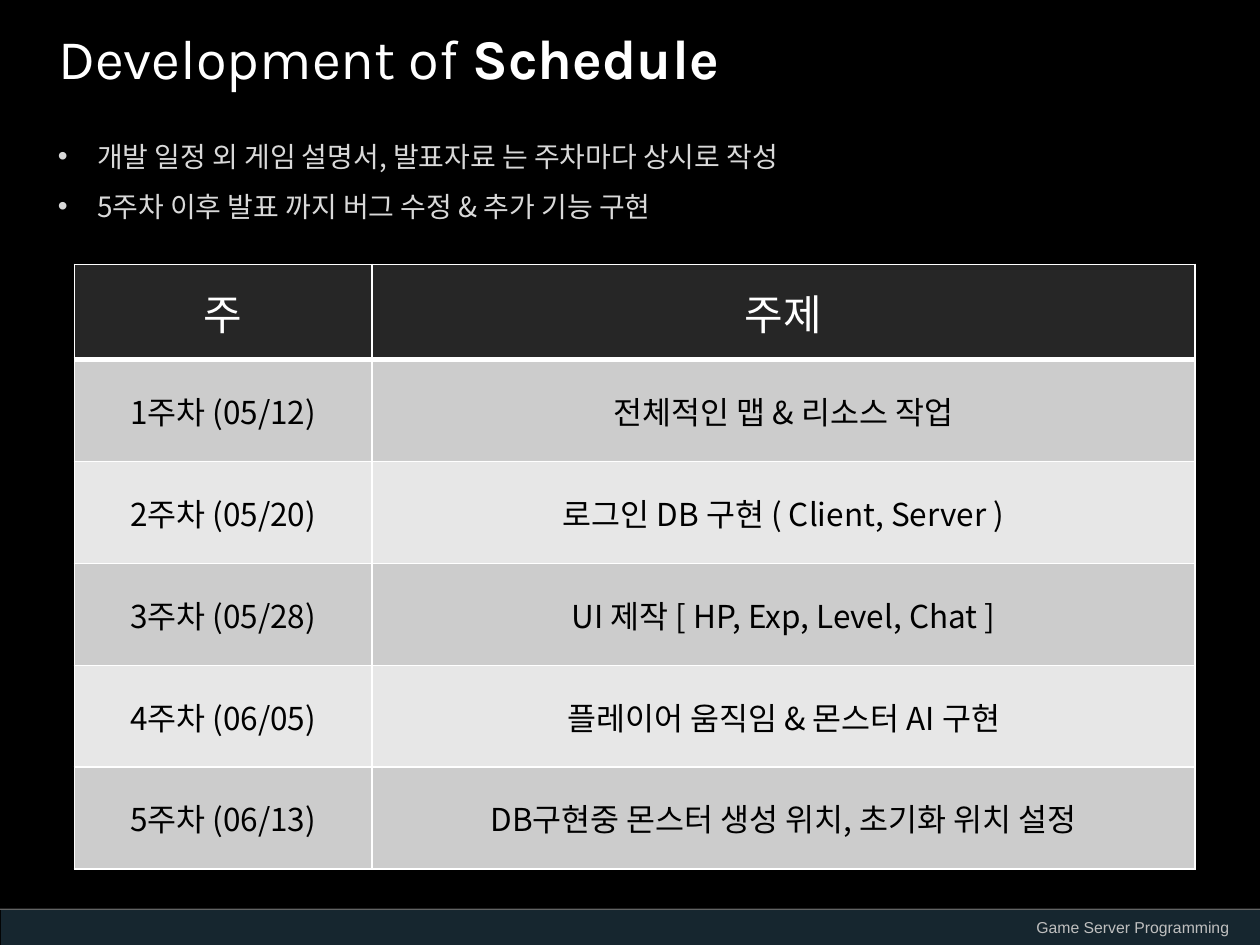
from lxml.etree import SubElement
from pptx import Presentation
from pptx.dml.color import RGBColor
from pptx.enum.shapes import MSO_CONNECTOR, MSO_SHAPE
from pptx.enum.text import MSO_ANCHOR, MSO_AUTO_SIZE, PP_ALIGN
from pptx.oxml.ns import qn
from pptx.util import Pt

COLORS = {
    "background": "000000",
    "white": "FFFFFF",
    "bullet": "D9D9D9",
    "footer": "BFBFBF",
    "footer_bar": "16262F",
    "footer_rule": "F2F2F2",
    "header": "262626",
    "odd_row": "CCCCCC",
    "even_row": "E7E7E7",
    "cell_text": "000000",
}
KOREAN = "Noto Sans CJK KR"


def rgb(name):
    return RGBColor.from_string(COLORS[name])


def add_run(paragraph, text, size, color, font, bold=False):
    run = paragraph.add_run()
    run.text = text
    run.font.size = Pt(size)
    run.font.bold = bold
    run.font.color.rgb = rgb(color)
    run.font.name = font
    SubElement(run._r.get_or_add_rPr(), qn("a:ea"), typeface=font)


prs = Presentation()
prs.slide_width, prs.slide_height = Pt(720), Pt(540)
slide = prs.slides.add_slide(prs.slide_layouts[5])
slide.background.fill.solid()
slide.background.fill.fore_color.rgb = rgb("background")
shapes = slide.shapes

footer_bar = shapes.add_shape(MSO_SHAPE.RECTANGLE, Pt(0.5), Pt(520), Pt(720), Pt(20))
footer_bar.shadow.inherit = False
footer_bar.fill.solid()
footer_bar.fill.fore_color.rgb = rgb("footer_bar")
footer_bar.line.fill.background()

footer_rule = shapes.add_connector(MSO_CONNECTOR.STRAIGHT, Pt(0), Pt(519.6), Pt(720), Pt(519.6))
footer_rule.line.width = Pt(0.75)
footer_rule.line.color.rgb = rgb("footer_rule")
rule_color = footer_rule.line._ln.find(".//" + qn("a:srgbClr"))
SubElement(rule_color, qn("a:alpha"), val="40000")
SubElement(footer_rule._element.spPr, qn("a:effectLst"))

course = shapes.add_textbox(Pt(575.3), Pt(520.8), Pt(144), Pt(18)).text_frame
course.word_wrap = True
course.vertical_anchor = MSO_ANCHOR.MIDDLE
course.paragraphs[0].alignment = PP_ALIGN.CENTER
add_run(course.paragraphs[0], "Game Server Programming", 9, "footer", "Arial")

title = shapes.title
title.left, title.top, title.width, title.height = Pt(26), Pt(9.5), Pt(520), Pt(46)
heading = title.text_frame
heading.word_wrap = True
heading.auto_size = MSO_AUTO_SIZE.NONE
heading.vertical_anchor = MSO_ANCHOR.MIDDLE
heading.paragraphs[0].alignment = PP_ALIGN.LEFT
add_run(heading.paragraphs[0], "Development of ", 32, "white", "Karla")
add_run(heading.paragraphs[0], "Schedule", 32, "white", "Karla", bold=True)

schedule_rows = [
    ("주", "주제"),
    ("1주차 (05/12)", "전체적인 맵 & 리소스 작업"),
    ("2주차 (05/20)", "로그인 DB 구현 ( Client, Server )"),
    ("3주차 (05/28)", "UI 제작 [ HP, Exp, Level, Chat ]"),
    ("4주차 (06/05)", "플레이어 움직임 & 몬스터 AI 구현"),
    ("5주차 (06/13)", "DB구현중 몬스터 생성 위치, 초기화 위치 설정"),
]
schedule = shapes.add_table(len(schedule_rows), 2, Pt(42.5), Pt(151), Pt(640.5), Pt(345.7)).table
schedule.columns[0].width, schedule.columns[1].width = Pt(170), Pt(470.5)
for row_index, texts in enumerate(schedule_rows):
    is_header = row_index == 0
    schedule.rows[row_index].height = Pt(54.5 if is_header else 58.25)
    if is_header:
        fill, size, color = "header", 24, "white"
    else:
        fill = "odd_row" if row_index % 2 else "even_row"
        size, color = 18, "cell_text"
    for column_index, text in enumerate(texts):
        cell = schedule.cell(row_index, column_index)
        cell.vertical_anchor = MSO_ANCHOR.MIDDLE
        paragraph = cell.text_frame.paragraphs[0]
        paragraph.alignment = PP_ALIGN.CENTER
        add_run(paragraph, text, size, color, KOREAN)
        for side in "LRTB":
            heavy = (row_index, side) in ((0, "B"), (1, "T"))
            border = SubElement(cell._tc.get_or_add_tcPr(), qn("a:ln" + side),
                                w=str(Pt(3 if heavy else 1)))
            border_fill = SubElement(border, qn("a:solidFill"))
            SubElement(border_fill, qn("a:srgbClr"), val=COLORS["white"])
        cell.fill.solid()
        cell.fill.fore_color.rgb = rgb(fill)

remarks = shapes.add_textbox(Pt(26), Pt(66.5), Pt(659), Pt(61)).text_frame
remarks.word_wrap = True
remark_lines = [
    "개발 일정 외 게임 설명서, 발표자료 는 주차마다 상시로 작성",
    "5주차 이후 발표 까지 버그 수정 & 추가 기능 구현",
]
for index, line in enumerate(remark_lines):
    paragraph = remarks.add_paragraph() if index else remarks.paragraphs[0]
    paragraph.line_spacing = 1.5
    properties = paragraph._p.get_or_add_pPr()
    properties.set("marL", str(Pt(22.5)))
    properties.set("indent", str(-Pt(22.5)))
    SubElement(properties, qn("a:buFont"), typeface="Arial")
    SubElement(properties, qn("a:buChar"), char="•")
    add_run(paragraph, line, 16, "bullet", KOREAN)

prs.save("out.pptx")
